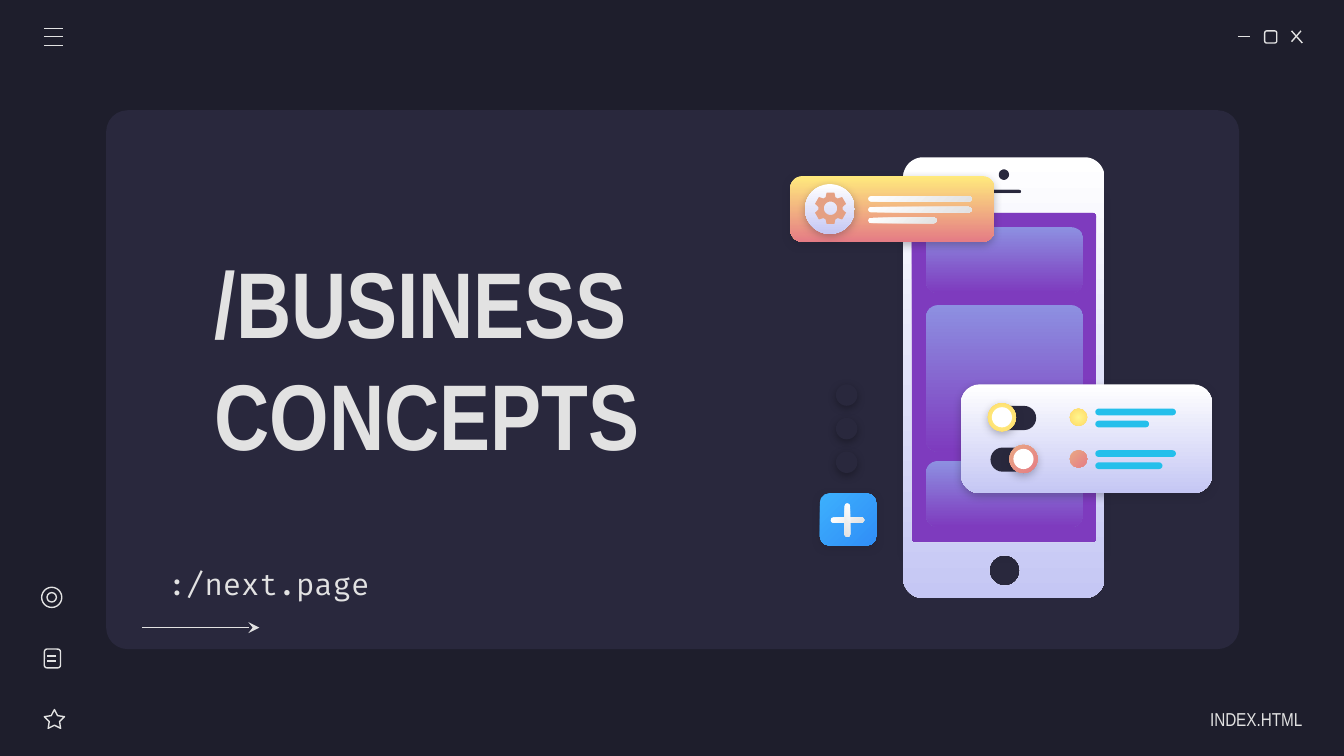
import math
from dataclasses import dataclass
from typing import Optional

from lxml import etree
from pptx import Presentation
from pptx import util as u
from pptx.dml.color import RGBColor
from pptx.enum import shapes, text
from pptx.oxml import parse_xml
from pptx.oxml.ns import nsdecls, qn

RECT = shapes.MSO_SHAPE.ROUNDED_RECTANGLE
OVAL = shapes.MSO_SHAPE.OVAL
STAR = shapes.MSO_SHAPE.STAR_5_POINT


@dataclass(frozen=True)
class Gradient:
    start: str
    end: str
    angle: Optional[int] = 90  # clockwise degrees; None means radial


@dataclass(frozen=True)
class Theme:
    background: str = "1E1E2C"
    panel: str = "29283D"
    ink: str = "E2E2E2"
    white: str = "FFFFFF"
    screen: str = "7E3BBE"
    gear: str = "E5A083"
    bar: str = "24BFEB"
    tile: Gradient = Gradient("8D90E1", "7E3BBE")
    casing: Gradient = Gradient("FFFFFF", "C5C7F4")
    sunset: Gradient = Gradient("FFEA7D", "E57C85")
    yellow: Gradient = Gradient("FFF68E", "FFD966", None)
    coral: Gradient = Gradient("E9A984", "E57C85", 45)
    silver: Gradient = Gradient("FFFFFF", "E2E2E2", 45)
    blue: Gradient = Gradient("3DB0FD", "308EF7", 45)
    heading_font: str = "Arial Narrow"
    code_font: str = "Fira Code"
    title_size: int = 50
    link_size: int = 16
    footer_size: int = 10
    line_width: float = 0.75


@dataclass(frozen=True)
class Box:
    left: float
    top: float
    width: float
    height: float

    def lengths(self):
        return [u.Inches(v) for v in (self.left, self.top, self.width, self.height)]


@dataclass(frozen=True)
class Toggle:
    top: float
    knob_left: float
    color: Gradient
    second_bar: float


THEME = Theme()
presentation = Presentation()
presentation.slide_width = u.Inches(10)
presentation.slide_height = u.Inches(10 * 9 / 16)
slide = presentation.slides.add_slide(presentation.slide_layouts[6])
slide.background.fill.solid()
slide.background.fill.fore_color.rgb = RGBColor.from_string(THEME.background)


def paint(shape, fill=None, line: Optional[str] = None, shadow: Optional[str] = None):
    shape.shadow.inherit = False
    if isinstance(fill, Gradient):
        shape.fill.gradient()
        for stop, color, position in zip(
                shape.fill.gradient_stops, (fill.start, fill.end), (0, 1)):
            stop.color.rgb = RGBColor.from_string(color)
            stop.position = position
        if fill.angle is None:
            linear = shape._element.spPr.find(".//" + qn("a:lin"))
            linear.getparent().replace(linear, parse_xml(
                f'<a:path {nsdecls("a")} path="circle">'
                '<a:fillToRect l="50000" t="50000" r="50000" b="50000"/></a:path>'))
        else:
            shape.fill.gradient_angle = 360 - fill.angle
    elif fill:
        shape.fill.solid()
        shape.fill.fore_color.rgb = RGBColor.from_string(fill)
    else:
        shape.fill.background()
    if line:
        shape.line.color.rgb = RGBColor.from_string(line)
        shape.line.width = u.Pt(THEME.line_width)
    else:
        shape.line.fill.background()
    if shadow:
        effects = shape._element.spPr.find(qn("a:effectLst"))
        effects.append(parse_xml(
            f'<a:outerShdw {nsdecls("a")} blurRad="{u.Pt(4.5)}" dist="{u.Pt(1.5)}" '
            f'dir="5400000" algn="bl" rotWithShape="0"><a:srgbClr val="{shadow}">'
            '<a:alpha val="30000"/></a:srgbClr></a:outerShdw>'))
    return shape


def add_shape(kind, box: Box, radius: Optional[float] = None, **colors):
    shape = slide.shapes.add_shape(kind, *box.lengths())
    if radius is not None:
        shape.adjustments[0] = radius
    return paint(shape, **colors)


def add_line(x1: float, y1: float, x2: float, y2: float, arrow: bool = False):
    line = slide.shapes.add_connector(
        shapes.MSO_CONNECTOR.STRAIGHT, *(u.Inches(v) for v in (x1, y1, x2, y2)))
    line.line.color.rgb = RGBColor.from_string(THEME.ink)
    line.line.width = u.Pt(THEME.line_width)
    if arrow:
        etree.SubElement(line._element.spPr.find(qn("a:ln")), qn("a:tailEnd"), type="stealth")
    etree.SubElement(line._element.spPr, qn("a:effectLst"))


def add_text(content: str, box: Box, *, font: str, size: int, bold: bool = False,
             align=text.PP_ALIGN.LEFT, right_inset: float = 0.1):
    frame = slide.shapes.add_textbox(*box.lengths()).text_frame
    frame.word_wrap = True
    frame.vertical_anchor = text.MSO_ANCHOR.MIDDLE
    frame.margin_left = frame.margin_top = frame.margin_bottom = u.Inches(0.1)
    frame.margin_right = u.Inches(right_inset)
    paragraph = frame.paragraphs[0]
    paragraph.alignment = align
    run = paragraph.add_run()
    run.text = content
    run.font.name, run.font.size, run.font.bold = font, u.Pt(size), bold
    run.font.color.rgb = RGBColor.from_string(THEME.ink)


def polar(x: float, y: float, radius: float, degrees: float):
    angle = math.radians(degrees)
    return x + radius * math.cos(angle), y + radius * math.sin(angle)


def rounded_outline(box: Box, radius: float):
    """Clockwise points of a rounded box; a circle when radius is half its side."""
    left, top = box.left + radius, box.top + radius
    right, bottom = box.left + box.width - radius, box.top + box.height - radius
    corners = ((right, bottom), (left, bottom), (left, top), (right, top))
    return [polar(x, y, radius, 90 * quarter + step)
            for quarter, (x, y) in enumerate(corners) for step in range(0, 91, 6)]


def add_outline(outer, holes, fill):
    contours = [[(u.Inches(x), u.Inches(y)) for x, y in points]
                for points in [outer] + [hole[::-1] for hole in holes]]
    builder = slide.shapes.build_freeform(*contours[0][0])
    for index, points in enumerate(contours):
        if index:
            builder.move_to(*points[0])
        builder.add_line_segments(points[1:], close=True)
    paint(builder.convert_to_shape(), fill=fill)


# Window: panel, controls and menu
add_shape(RECT, Box(0.79, 0.82, 8.43, 4.01), 0.04, fill=THEME.panel)
add_line(9.21, 0.27, 9.3, 0.27)
add_shape(RECT, Box(9.41, 0.23, 0.09, 0.09), 0.167, line=THEME.ink)
add_line(9.61, 0.23, 9.69, 0.32)
add_line(9.68, 0.23, 9.61, 0.31)
for y in (0.21, 0.34, 0.27):
    add_line(0.33, y, 0.47, y)

# Side icons: star, document, target
add_shape(STAR, Box(0.33, 5.28, 0.15, 0.14), 0.254, line=THEME.ink)
add_shape(RECT, Box(0.33, 4.83, 0.12, 0.14), 0.167, line=THEME.ink)
for y in (4.88, 4.92):
    add_line(0.35, y, 0.42, y)
for inset in (0, 0.04):
    side = 0.15 - 2 * inset
    add_shape(OVAL, Box(0.31 + inset, 4.37 + inset, side, side), line=THEME.ink)

# Wording and arrow
add_text("INDEX.HTML", Box(8.52, 5.2, 1.17, 0.3), font=THEME.heading_font,
         size=THEME.footer_size, align=text.PP_ALIGN.RIGHT, right_inset=0)
add_text("/BUSINESS CONCEPTS", Box(1.5, 1.84, 4.3, 1.64), font=THEME.heading_font,
         size=THEME.title_size, bold=True)
add_line(1.06, 4.67, 1.93, 4.67, arrow=True)

# Phone
add_shape(RECT, Box(6.74, 1.47, 1.46, 2.63), 0, fill=THEME.screen, shadow=THEME.background)
for top, height in ((1.69, 0.49), (2.27, 1.09), (3.43, 0.49)):
    add_shape(RECT, Box(6.89, top, 1.17, height), 0.09 / height, fill=THEME.tile)
camera = rounded_outline(Box(7.43, 1.26, 0.08, 0.08), 0.04)
speaker = rounded_outline(Box(7.35, 1.41, 0.25, 0.03), 0.015)
display = rounded_outline(Box(6.78, 1.58, 1.38, 2.46), 0.03)
button = rounded_outline(Box(7.36, 4.13, 0.23, 0.23), 0.115)
add_outline(rounded_outline(Box(6.72, 1.17, 1.5, 3.28), 0.15),
            [camera, speaker, display, button], THEME.casing)

# Settings card with gear
add_shape(RECT, Box(5.88, 1.31, 1.52, 0.49), 0.187, fill=THEME.sunset, shadow=THEME.background)
add_shape(OVAL, Box(5.99, 1.37, 0.37, 0.37), fill=THEME.casing, shadow=THEME.background)
teeth = [polar(6.18, 1.55, radius, 60 * tooth - 90 + offset) for tooth in range(6)
         for radius, offset in ((0.09, -24), (0.12, -14), (0.12, 14), (0.09, 24))]
add_outline(teeth, [rounded_outline(Box(6.13, 1.5, 0.1, 0.1), 0.05)], THEME.gear)
for row, width in enumerate((0.77, 0.77, 0.51)):
    add_shape(RECT, Box(6.46, 1.46 + 0.08 * row, width, 0.04), 0.5, fill=THEME.silver)

# Card with toggles
add_shape(RECT, Box(7.15, 2.86, 1.87, 0.81), 0.173, fill=THEME.casing, shadow=THEME.background)
for toggle in (Toggle(3, 7.35, THEME.yellow, 0.4), Toggle(3.31, 7.51, THEME.coral, 0.5)):
    top, left = toggle.top, toggle.knob_left
    add_shape(RECT, Box(7.37, top + 0.02, 0.34, 0.18), 0.5, fill=THEME.panel)
    add_shape(OVAL, Box(left, top, 0.21, 0.21), fill=toggle.color, shadow=THEME.background)
    add_shape(OVAL, Box(left + 0.03, top + 0.03, 0.15, 0.15), fill=THEME.white)
    add_shape(OVAL, Box(7.96, top + 0.04, 0.13, 0.13), fill=toggle.color)
    for drop, width in ((0.04, 0.6), (0.13, toggle.second_bar)):
        add_shape(RECT, Box(8.15, top + drop, width, 0.05), 0.5, fill=THEME.bar)

# Plus button and dots
add_shape(RECT, Box(6.1, 3.67, 0.42, 0.39), 0.183, fill=THEME.blue, shadow=THEME.background)
for rotation in (0, 90):
    add_shape(RECT, Box(6.18, 3.85, 0.25, 0.04), 0.5, fill=THEME.silver).rotation = rotation
for row in range(3):
    add_shape(OVAL, Box(6.22, 2.86 + 0.25 * row, 0.16, 0.16), fill=THEME.panel, shadow="000000")

# Link
add_text(":/next.page", Box(-0.15, 4.04, 4.3, 0.6), font=THEME.code_font,
         size=THEME.link_size, align=text.PP_ALIGN.CENTER)

presentation.save("out.pptx")
